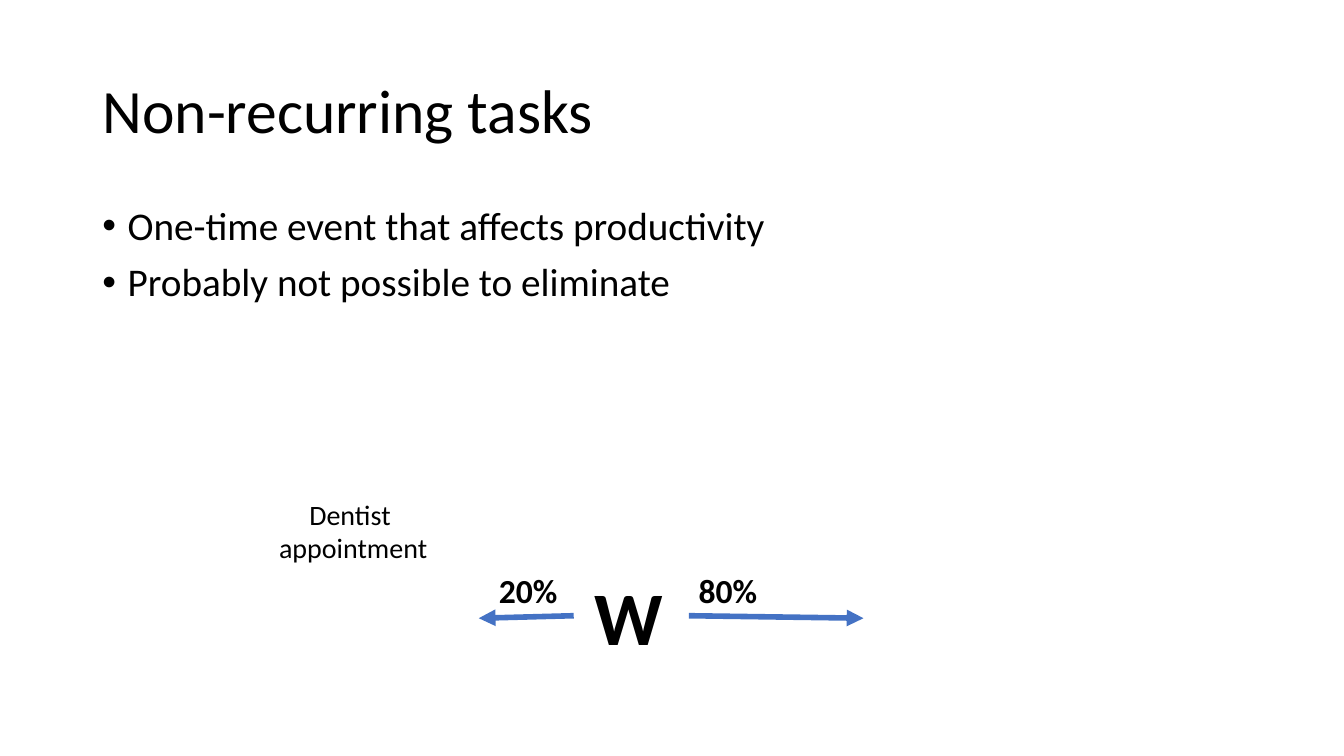
import pptx
import pptx.util
import pptx.dml.color
import pptx.enum.shapes
import pptx.enum.text
import pptx.oxml.ns
import lxml.etree

BLACK = pptx.dml.color.RGBColor(0, 0, 0)
BLUE = pptx.dml.color.RGBColor(0x44, 0x72, 0xC4)
FONT = "Calibri"
LEFT = pptx.enum.text.PP_ALIGN.LEFT
MID = pptx.enum.text.PP_ALIGN.CENTER
FIT = pptx.enum.text.MSO_AUTO_SIZE

deck = pptx.Presentation()
deck.slide_width = pptx.util.Inches(13.33)
deck.slide_height = pptx.util.Inches(7.5)
slide = deck.slides.add_slide(deck.slide_layouts[1])

# The slide is a grid of 160 columns by 90 rows.
COL = deck.slide_width / 160
ROW = deck.slide_height / 90


def span(x, y, wide, high):
    """Turn grid columns and rows into slide lengths."""
    return [round(n * unit) for n, unit in
            zip((x, y, wide, high), (COL, ROW, COL, ROW))]


def write(frame, text, size, bold=False, align=LEFT, line=1.0, gap=0,
          wrap=True, fit=FIT.NONE):
    """Fill a text frame, one paragraph a line, and return the paragraphs."""
    frame.text = text
    frame.word_wrap = wrap
    frame.auto_size = fit
    for par in frame.paragraphs:
        par.alignment = align
        par.line_spacing = line
        par.space_before = pptx.util.Pt(gap)
        for run in par.runs:
            run.font.name = FONT
            run.font.size = pptx.util.Pt(size)
            run.font.bold = bold
            run.font.color.rgb = BLACK
    return frame.paragraphs


# Title and list
title, body = slide.placeholders
title.left, title.top, title.width, title.height = span(11, 4.8, 138, 17.4)
write(title.text_frame, "Non-recurring tasks", 44, line=0.9)
title.text_frame.vertical_anchor = pptx.enum.text.MSO_ANCHOR.MIDDLE

body.left, body.top, body.width, body.height = span(11, 24, 138, 19.2)
items = ["One-time event that affects productivity",
         "Probably not possible to eliminate"]
for par in write(body.text_frame, "\n".join(items), 28, line=0.9, gap=10):
    props = par._p.get_or_add_pPr()
    props.set("marL", str(pptx.util.Inches(0.25)))
    props.set("indent", str(-pptx.util.Inches(0.25)))

# Arrows pointing away from the worker
ARROWS = [(82, 102.8), (68.3, 57)]
for start, end in ARROWS:
    x1, y1, x2, y2 = span(start, 73.3, end, 73.6)
    arrow = slide.shapes.add_connector(
        pptx.enum.shapes.MSO_CONNECTOR.STRAIGHT, x1, y1, x2, y2)
    arrow.line.color.rgb = BLUE
    arrow.line.width = pptx.util.Pt(4)
    lxml.etree.SubElement(arrow.line._get_or_add_ln(),
                          pptx.oxml.ns.qn("a:tailEnd"), type="triangle")
    lxml.etree.SubElement(arrow._element.spPr, pptx.oxml.ns.qn("a:effectLst"))

# Labels: text, place, size, bold, alignment
LABELS = [
    ("W", (69.5, 67.2, 10.7, 12.1), 54, True, MID),
    ("80%", (82, 67.2, 9.5, 6), 24, True, LEFT),
    ("20%", (58.2, 67.3, 9.5, 6), 24, True, LEFT),
    ("Dentist \vappointment", (31.9, 58.6, 20.3, 9.2), 20, False, MID),
]
for text, place, size, bold, align in LABELS:
    label = slide.shapes.add_textbox(*span(*place))
    write(label.text_frame, text, size, bold=bold, align=align,
          wrap=False, fit=FIT.SHAPE_TO_FIT_TEXT)

deck.save("out.pptx")
